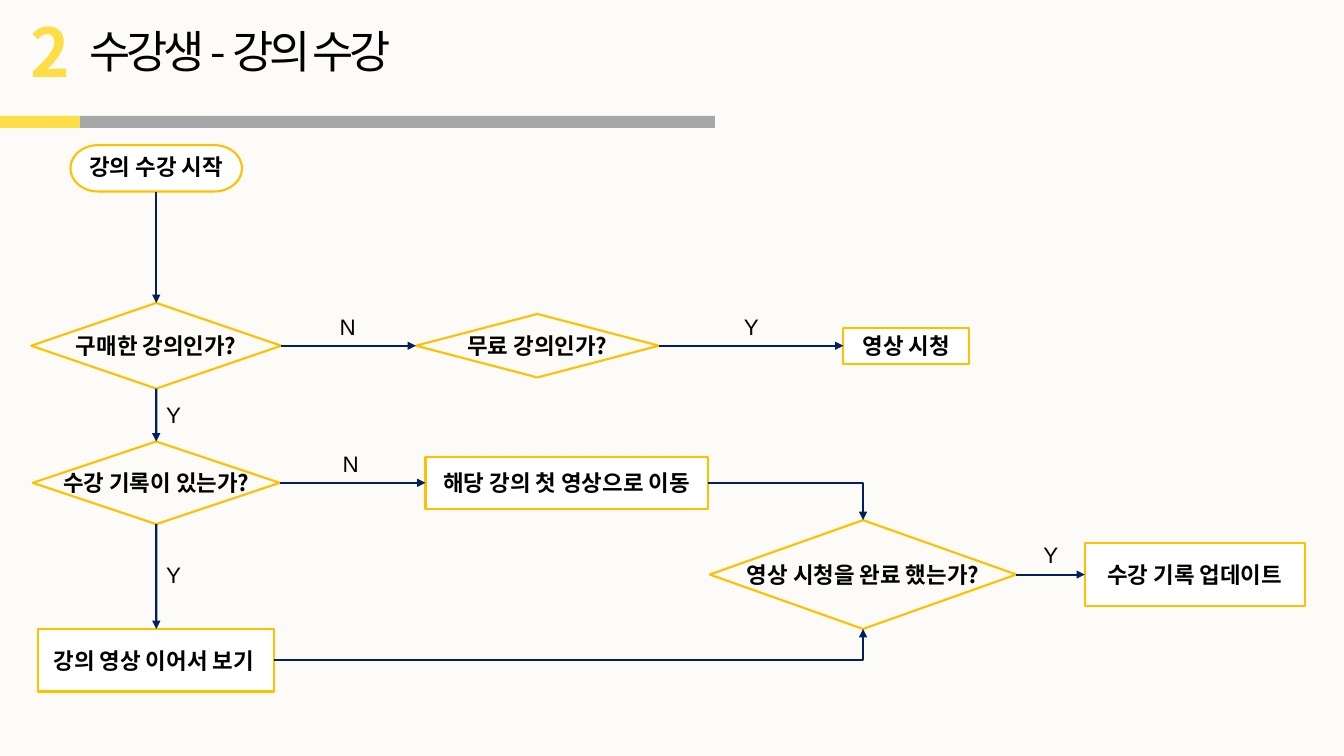
from pptx import Presentation
from pptx.dml.color import RGBColor
from pptx.enum.shapes import MSO_CONNECTOR as LINK, MSO_SHAPE as SHAPE
from pptx.enum.text import MSO_ANCHOR as ANCHOR, MSO_AUTO_SIZE as FIT, PP_ALIGN as ALIGN
from pptx.oxml.ns import qn
from pptx.util import Inches, Pt

HANGUL = "Noto Sans CJK KR"
GOLD, NAVY, YELLOW, GRAY = "FFC000", "002060", "FDDE45", "A6A7A9"
TOP, LEFT, BOTTOM, RIGHT = range(4)

# Centre lines of the flow chart, in inches
COLUMNS = {"main": 1.55, "free": 5.33, "first": 5.62, "done": 8.56, "watch": 8.99, "update": 11.85}
ROWS = {"start": 1.67, "bought": 3.43, "record": 4.79, "done": 5.7, "resume": 6.55}

# name: (preset, column, row, width, height, text)
STEPS = {
    "start": (SHAPE.FLOWCHART_TERMINATOR, "main", "start", 1.7, 0.46, "강의 수강 시작"),
    "bought": (SHAPE.FLOWCHART_DECISION, "main", "bought", 2.48, 0.85, "구매한 강의인가?"),
    "free": (SHAPE.FLOWCHART_DECISION, "free", "bought", 2.41, 0.63, "무료 강의인가?"),
    "watch": (SHAPE.RECTANGLE, "watch", "bought", 1.25, 0.36, "영상 시청"),
    "record": (SHAPE.FLOWCHART_DECISION, "main", "record", 2.45, 0.82, "수강 기록이 있는가?"),
    "first": (SHAPE.RECTANGLE, "first", "record", 2.8, 0.52, "해당 강의 첫 영상으로 이동"),
    "done": (SHAPE.FLOWCHART_DECISION, "done", "done", 3.04, 1.08, "영상 시청을 완료 했는가?"),
    "update": (SHAPE.RECTANGLE, "update", "done", 2.18, 0.62, "수강 기록 업데이트"),
    "resume": (SHAPE.RECTANGLE, "main", "resume", 2.34, 0.62, "강의 영상 이어서 보기 "),
}
ARROWS = [
    ("start", BOTTOM, "bought", TOP),
    ("bought", BOTTOM, "record", TOP),
    ("bought", RIGHT, "free", LEFT),
    ("free", RIGHT, "watch", LEFT),
    ("record", BOTTOM, "resume", TOP),
    ("record", RIGHT, "first", LEFT),
    ("first", RIGHT, "done", TOP),
    ("resume", RIGHT, "done", BOTTOM),
    ("done", RIGHT, "update", LEFT),
]
# (text, left, top, width)
ANSWERS = [
    ("N", 3.27, 3.06, 0.38),
    ("N", 3.3, 4.42, 0.38),
    ("Y", 7.28, 3.06, 0.34),
    ("Y", 1.55, 3.93, 0.34),
    ("Y", 1.55, 5.52, 0.34),
    ("Y", 10.25, 5.32, 0.34),
]


def color(value):
    return RGBColor.from_string(value)


def set_all(target, values):
    for name, value in values.items():
        setattr(target, name, value)


def write(para, text, size=16, font="Arial", ink="000000", bold=False, spacing=None):
    span = para.add_run()
    span.text = text
    set_all(span.font, {"size": Pt(size), "name": font, "bold": bold})
    span.font.color.rgb = color(ink)
    props = span.font._element
    props.get_or_add_latin().addnext(props.makeelement(qn("a:ea"), {"typeface": HANGUL}))
    if spacing is not None:
        props.set("spc", str(spacing * 100))


def add_label(page, text, left, top, width, height=0.37, **style):
    box = page.shapes.add_textbox(*map(Inches, (left, top, width, height)))
    set_all(box.text_frame, {"word_wrap": False, "auto_size": FIT.SHAPE_TO_FIT_TEXT})
    write(box.text_frame.paragraphs[0], text, **style)


def add_bar(page, left, width, fill):
    bar = page.shapes.add_shape(SHAPE.RECTANGLE, *map(Inches, (left, 1.15, width, 0.12)))
    bar.shadow.inherit = False
    bar.fill.solid()
    bar.fill.fore_color.rgb = color(fill)
    bar.line.fill.background()


def add_step(page, preset, column, row, width, height, text):
    left, top = COLUMNS[column] - width / 2, ROWS[row] - height / 2
    step = page.shapes.add_shape(preset, *map(Inches, (left, top, width, height)))
    step.shadow.inherit = False
    decision = preset == SHAPE.FLOWCHART_DECISION
    if decision:
        step.fill.background()
    else:
        step.fill.solid()
        step.fill.fore_color.rgb = color("FFFFFF")
    step.line.color.rgb = color(GOLD)
    step.line.width = Pt(1.5)
    side, edge = (0.04, 0.04) if decision else (0.02, 0)
    set_all(step.text_frame, {
        "word_wrap": not decision, "vertical_anchor": ANCHOR.MIDDLE,
        "margin_left": Inches(side), "margin_right": Inches(side),
        "margin_top": Inches(edge), "margin_bottom": Inches(edge),
    })
    para = step.text_frame.paragraphs[0]
    para.alignment = ALIGN.CENTER
    if preset == SHAPE.FLOWCHART_TERMINATOR:
        para.line_spacing = 0.9
    write(para, text, font=HANGUL if decision else "Arial", bold=True)
    return step


def add_arrow(page, source, source_side, target, target_side):
    """Join two steps; the arrow turns one corner when its sides are not opposite."""
    straight = abs(source_side - target_side) == 2
    arrow = page.shapes.add_connector(LINK.STRAIGHT if straight else LINK.ELBOW, 0, 0, 0, 0)
    arrow.begin_connect(source, source_side)
    arrow.end_connect(target, target_side)
    arrow.line.color.rgb = color(NAVY)
    arrow.line.width = Pt(1.5)
    props = arrow._element.spPr
    if not straight:
        props.find(qn("a:prstGeom")).set("prst", "bentConnector2")
    line = props.find(qn("a:ln"))
    line.append(line.makeelement(qn("a:tailEnd"), {"type": "triangle"}))
    props.append(props.makeelement(qn("a:effectLst"), {}))


def main():
    deck = Presentation()
    set_all(deck, {"slide_width": Inches(13.33), "slide_height": Inches(7.5)})
    page = deck.slides.add_slide(deck.slide_layouts[6])
    page.background.fill.solid()
    page.background.fill.fore_color.rgb = color("FCFBF7")

    add_bar(page, 0.79, 6.3, GRAY)
    add_bar(page, 0, 0.79, YELLOW)
    add_label(page, "2", 0.2, 0.05, 0.59, 0.91, size=48, font=HANGUL, ink=YELLOW, bold=True)
    add_label(page, "수강생 - 강의 수강", 0.79, 0.19, 3.54, 0.64, size=32, font=HANGUL, spacing=-3)

    steps = {name: add_step(page, *step) for name, step in STEPS.items()}
    for source, source_side, target, target_side in ARROWS:
        add_arrow(page, steps[source], source_side, steps[target], target_side)
    for answer in ANSWERS:
        add_label(page, *answer)
    deck.save("out.pptx")


if __name__ == "__main__":
    main()
